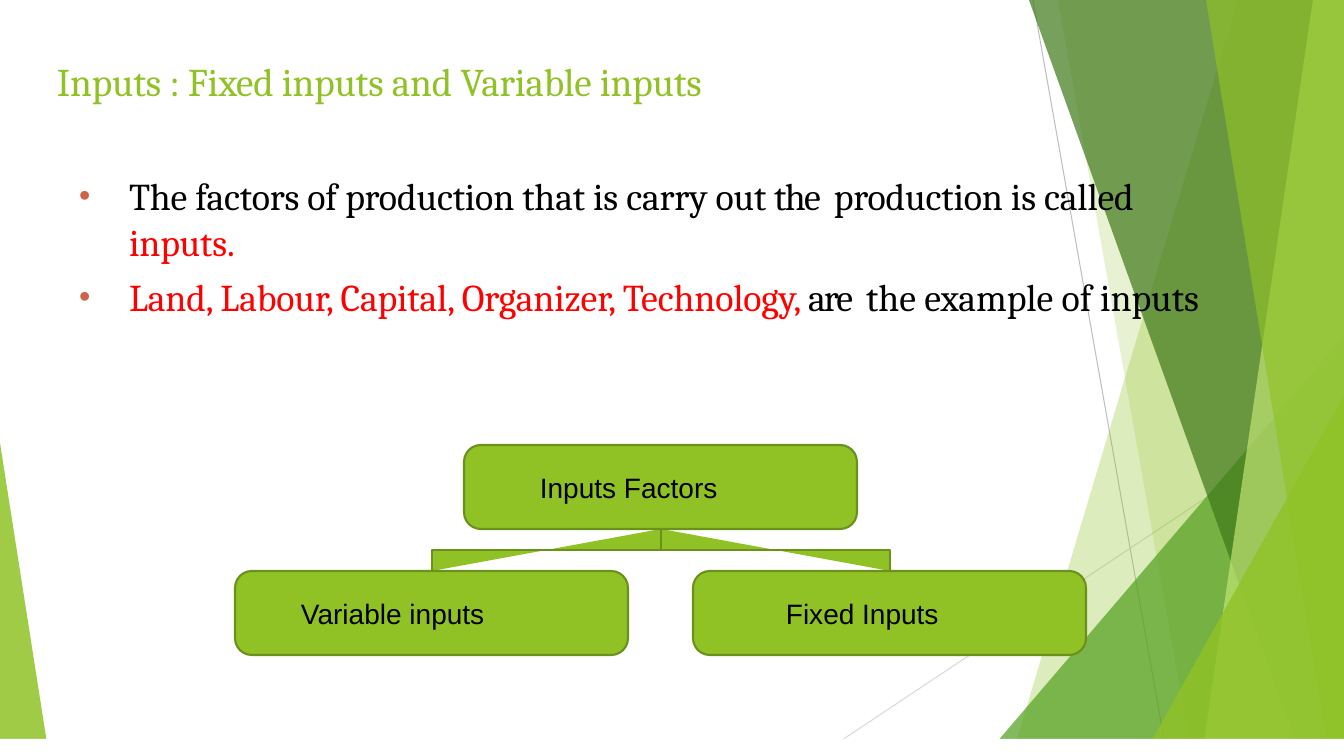
from dataclasses import dataclass

from lxml import etree
from pptx import Presentation
from pptx.dml.color import RGBColor
from pptx.enum.shapes import MSO_CONNECTOR, MSO_SHAPE
from pptx.enum.text import MSO_ANCHOR, MSO_AUTO_SIZE, PP_ALIGN
from pptx.oxml.ns import qn
from pptx.util import Pt

STRAIGHT = MSO_CONNECTOR.STRAIGHT
TRIANGLE = MSO_SHAPE.ISOSCELES_TRIANGLE
RECTANGLE = MSO_SHAPE.RECTANGLE
ROUNDED = MSO_SHAPE.ROUNDED_RECTANGLE
LEFT = PP_ALIGN.LEFT
TOP, MIDDLE = MSO_ANCHOR.TOP, MSO_ANCHOR.MIDDLE
NO_FIT = MSO_AUTO_SIZE.NONE


@dataclass(frozen=True)
class Theme:
    lime: str = "90C226"
    olive: str = "6B901C"
    green: str = "54A021"
    forest: str = "3F7819"
    pale: str = "C0E474"
    white: str = "FFFFFF"
    black: str = "000000"
    red: str = "FF0000"
    bullet: str = "D06248"
    mist: str = "C4D0D6"
    grey: str = "BFBFBF"
    light_grey: str = "D9D9D9"
    serif: str = "Cambria"
    sans: str = "Arial"
    title_size: int = 28
    body_size: int = 27
    box_size: int = 20


THEME = Theme()
SCALE = 914400 / 100.8
WIDTH, HEIGHT = 1344, 756

TITLE = "Inputs : Fixed inputs and Variable inputs"
TITLE_AREA = (56, 56, 1243, 49)
BODY_AREA = (75, 172, 1161, 194)
TIGHT = -0.1
BODY = [
    (1, [
        ("The factors of production that is carry out ", THEME.black, TIGHT),
        ("the", THEME.black, -1.2),
        (" ", THEME.black, 3.5),
        ("production is called ", THEME.black, TIGHT),
        ("inputs.", THEME.red, TIGHT),
    ]),
    (6.8, [
        ("Land, Labour, Capital, Organizer, Technology, ", THEME.red, TIGHT),
        ("are", THEME.black, -1.4),
        (" ", THEME.black, 3.5),
        ("the example of inputs", THEME.black, 0),
    ]),
]

BOX_WIDTH, BOX_HEIGHT = 393, 84
ROOT = ("Inputs Factors", 464, 445, 77)
CHILDREN = [("Variable inputs", 235, 571, 67), ("Fixed Inputs", 693, 571, 94)]

RAYS = [
    (1033, 0, 1167, 756, THEME.grey),
    (1344, 406, 818, 756, THEME.light_grey),
]
FACETS = [
    ("wing", (1238, 1012), THEME.lime, 30),
    ("wing", (1058, 1192), THEME.lime, 20),
    ("triangle", (985, 336, 359, 420, 1), THEME.green, 72),
    ("wing", (1029, 1301), THEME.forest, 70),
    ("wing", (1313, 1202), THEME.pale, 70),
    ("wing", (1206, 1329), THEME.lime, 65),
    ("triangle", (1143, 396, 201, 360, 1), THEME.lime, 80),
    ("triangle", (0, 443, 49, 313, 0), THEME.lime, 85),
]
FOOTER_BANDS = [
    ((22, 739, 1299, 1), THEME.mist),
    ((0, 739, 1344, 17), THEME.white),
]


def emu(*lengths):
    return [round(length * SCALE) for length in lengths]


def rgb(colour):
    return RGBColor.from_string(colour)


def paint(shape, fill, opacity=100, outline=None):
    shape.shadow.inherit = False
    shape.fill.solid()
    shape.fill.fore_color.rgb = rgb(fill)
    if opacity < 100:
        colour = shape.element.spPr.find(".//" + qn("a:srgbClr"))
        etree.SubElement(colour, qn("a:alpha"), val=str(opacity * 1000))
    if outline:
        shape.line.color.rgb = rgb(outline)
        shape.line.width = Pt(1.5)
    else:
        shape.line.fill.background()


def add_outline(slide, points, close):
    builder = slide.shapes.build_freeform(*points[0], scale=SCALE)
    builder.add_line_segments(points[1:], close=close)
    return builder.convert_to_shape()


def format_run(run, font, size, colour, tracking=0):
    run.font.name = font
    run.font.size = Pt(size)
    run.font.color.rgb = rgb(colour)
    run.font.bold = False
    run._r.get_or_add_rPr().set("spc", str(round(tracking * 100)))


def set_frame(frame, anchor, left=0):
    frame.word_wrap = True
    frame.auto_size = NO_FIT
    frame.vertical_anchor = anchor
    frame.margin_left = emu(left)[0]
    frame.margin_top = emu(1)[0]
    frame.margin_right = frame.margin_bottom = 0


def add_decoration(slide):
    for x1, y1, x2, y2, colour in RAYS:
        ray = slide.shapes.add_connector(STRAIGHT, *emu(x1, y1, x2, y2))
        ray.line.color.rgb = rgb(colour)
        ray.line.width = Pt(0.75)
        etree.SubElement(ray.element.spPr, qn("a:effectLst"))
    for kind, geometry, colour, opacity in FACETS:
        if kind == "wing":
            top, bottom = geometry
            corners = [(top, 0), (WIDTH, 0), (WIDTH, HEIGHT), (bottom, HEIGHT)]
            facet = add_outline(slide, corners, True)
        else:
            *area, apex = geometry
            facet = slide.shapes.add_shape(TRIANGLE, *emu(*area))
            facet.adjustments[0] = apex
        paint(facet, colour, opacity)
    for area, colour in FOOTER_BANDS:
        paint(slide.shapes.add_shape(RECTANGLE, *emu(*area)), colour)


def add_title(slide):
    title = slide.shapes.title
    title.left, title.top, title.width, title.height = emu(*TITLE_AREA)
    title.text_frame.text = TITLE
    set_frame(title.text_frame, TOP, 1)
    heading = title.text_frame.paragraphs[0]
    heading.alignment = LEFT
    heading.space_before = Pt(1)
    format_run(heading.runs[0], THEME.serif, THEME.title_size, THEME.lime, TIGHT)


def add_body(slide):
    frame = slide.shapes.add_textbox(*emu(*BODY_AREA)).text_frame
    set_frame(frame, TOP)
    for index, (space, phrases) in enumerate(BODY):
        point = frame.add_paragraph() if index else frame.paragraphs[0]
        point.space_before = Pt(space)
        margin, indent = emu(54, -50)
        props = point._p.get_or_add_pPr()
        props.set("marL", str(margin))
        props.set("indent", str(indent))
        bullet_colour = etree.SubElement(props, qn("a:buClr"))
        etree.SubElement(bullet_colour, qn("a:srgbClr"), val=THEME.bullet)
        etree.SubElement(props, qn("a:buSzPct"), val="85000")
        etree.SubElement(props, qn("a:buFont"), typeface=THEME.sans)
        etree.SubElement(props, qn("a:buChar"), char="•")
        for words, colour, tracking in phrases:
            run = point.add_run()
            run.text = words
            format_run(run, THEME.serif, THEME.body_size, colour, tracking)


def add_hierarchy(slide):
    _, root_x, root_y, _ = ROOT
    stem_x, stem_y = root_x + BOX_WIDTH // 2 + 1, root_y + BOX_HEIGHT
    for _, x, y, _ in CHILDREN:
        child_x, bend_y = x + BOX_WIDTH // 2 + 1, (stem_y + y) // 2
        elbow = [(child_x, y), (child_x, bend_y), (stem_x, bend_y), (stem_x, stem_y)]
        paint(add_outline(slide, elbow, False), THEME.lime, outline=THEME.olive)
    for label, x, y, inset in [ROOT, *CHILDREN]:
        box = slide.shapes.add_shape(ROUNDED, *emu(x, y, BOX_WIDTH, BOX_HEIGHT))
        box.adjustments[0] = 0.2
        paint(box, THEME.lime, outline=THEME.olive)
        box.text_frame.text = label
        set_frame(box.text_frame, MIDDLE, inset - 6)
        caption = box.text_frame.paragraphs[0]
        caption.alignment = LEFT
        format_run(caption.runs[0], THEME.sans, THEME.box_size, THEME.black)


def main():
    deck = Presentation()
    deck.slide_width, deck.slide_height = emu(WIDTH, HEIGHT)
    slide = deck.slides.add_slide(deck.slide_layouts[5])
    add_decoration(slide)
    add_title(slide)
    add_body(slide)
    add_hierarchy(slide)
    deck.save("out.pptx")


if __name__ == "__main__":
    main()
